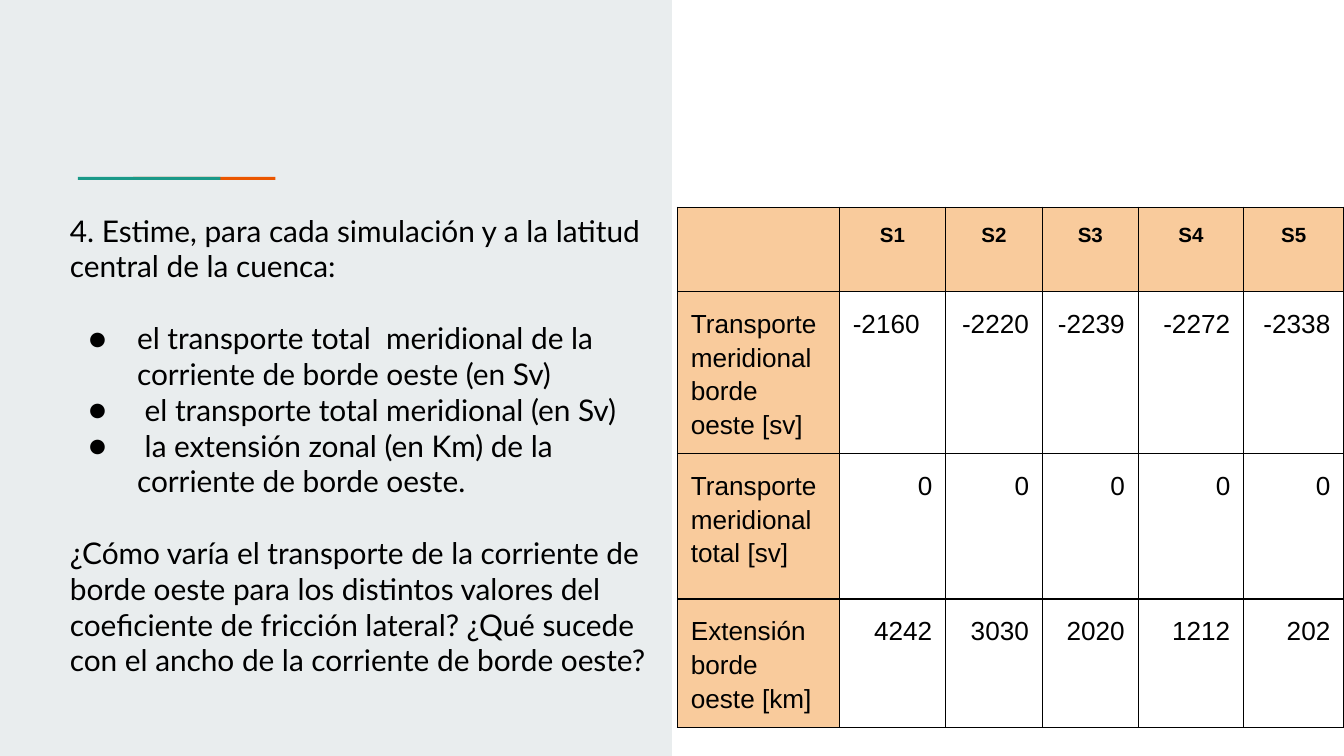
from dataclasses import dataclass

from lxml.etree import SubElement
from pptx import Presentation
from pptx.dml.color import RGBColor
from pptx.enum.shapes import MSO_SHAPE
from pptx.enum.text import MSO_ANCHOR, MSO_AUTO_SIZE, PP_ALIGN
from pptx.oxml.ns import qn
from pptx.util import Inches, Pt


@dataclass(frozen=True)
class Theme:
    """Colours, fonts and sizes of the slide."""

    panel: str = "E9EDEE"
    teal: str = "1A9988"
    orange: str = "EB5600"
    header: str = "F9CB9C"
    ink: str = "000000"
    text_font: str = "Lato"
    table_font: str = "Arial"
    text_size: float = 16
    head_size: float = 11
    cell_size: float = 14
    border: float = 0.75
    inset: float = 0.1


THEME = Theme()
WIDTH = Inches(10)
HEIGHT = WIDTH * 9 // 16
QUESTION = [
    ("4. Estime, para cada simulación y a la latitud central de la cuenca:", False),
    ("el transporte total  meridional de la corriente de borde oeste (en Sv)", True),
    (" el transporte total meridional (en Sv)", True),
    (" la extensión zonal (en Km) de la corriente de borde oeste.", True),
    ("¿Cómo varía el transporte de la corriente de borde oeste para los distintos "
     "valores del coeficiente de fricción lateral? ¿Qué sucede con el ancho de la "
     "corriente de borde oeste?", False),
]
RESULTS = [
    ["", "S1", "S2", "S3", "S4", "S5"],
    ["Transporte meridional borde oeste [sv]", "-2160", "-2220", "-2239", "-2272", "-2338"],
    ["Transporte meridional total [sv]", "0", "0", "0", "0", "0"],
    ["Extensión borde oeste [km]", "4242", "3030", "2020", "1212", "202"],
]
COLUMN_SHARES = [12.05, 7.92, 7.2, 7.13, 7.85, 7.45]
ROW_SHARES = [11.2, 19.2, 19.2, 16.9]


def across(share):
    """Turn a percentage of the slide width into a length."""
    return int(WIDTH * share / 100)


def down(share):
    """Turn a percentage of the slide height into a length."""
    return int(HEIGHT * share / 100)


def area(left, top, width, height):
    """Return a rectangle given in percentages of the slide."""
    return across(left), down(top), across(width), down(height)


def style_font(font, name, size, bold=False):
    """Format a run in the ink colour."""
    font.name, font.size, font.bold = name, Pt(size), bold
    font.color.rgb = RGBColor.from_string(THEME.ink)


def set_insets(holder):
    """Give a text frame or cell equal margins."""
    holder.margin_left = holder.margin_right = Inches(THEME.inset)
    holder.margin_top = holder.margin_bottom = Inches(THEME.inset)


def add_block(page, color, *shares):
    """Add a plain rectangle behind the title."""
    block = page.shapes.add_shape(MSO_SHAPE.RECTANGLE, *area(*shares))
    block.shadow.inherit = False
    block.fill.solid()
    block.fill.fore_color.rgb = RGBColor.from_string(color)
    block.line.fill.background()
    page.shapes.title.element.addprevious(block.element)


def add_bullet(para):
    """Give a paragraph a round bullet and a hanging indent."""
    properties = para._p.get_or_add_pPr()
    properties.set("marL", str(Inches(0.5)))
    properties.set("indent", str(Inches(-0.36)))
    color = SubElement(properties, qn("a:buClr"))
    SubElement(color, qn("a:srgbClr"), val=THEME.ink)
    SubElement(properties, qn("a:buFont"), typeface=THEME.text_font)
    SubElement(properties, qn("a:buChar"), char="●")


def write_question(page):
    """Fill the title placeholder with the question and its bullets."""
    title = page.shapes.title
    title.left, title.top, title.width, title.height = area(4.2, 26.3, 45.2, 71)
    frame = title.text_frame
    frame.text = "\n".join(text for text, _ in QUESTION)
    frame.word_wrap = True
    frame.auto_size = MSO_AUTO_SIZE.NONE
    frame.vertical_anchor = MSO_ANCHOR.TOP
    set_insets(frame)
    after_bullet = False
    for index, (para, (_, bulleted)) in enumerate(zip(frame.paragraphs, QUESTION)):
        para.alignment = PP_ALIGN.LEFT
        starts_group = index > 0 and bulleted != after_bullet
        para.space_before = Pt(THEME.text_size * 1.2 if starts_group else 0)
        if bulleted:
            add_bullet(para)
        for span in para.runs:
            style_font(span.font, THEME.text_font, THEME.text_size)
        after_bullet = bulleted


def add_borders(cell):
    """Draw a thin line on each side of a cell."""
    properties = cell._tc.get_or_add_tcPr()
    for side in ("lnL", "lnR", "lnT", "lnB"):
        line = SubElement(properties, qn(f"a:{side}"), w=str(Pt(THEME.border)))
        fill = SubElement(line, qn("a:solidFill"))
        SubElement(fill, qn("a:srgbClr"), val=THEME.ink)


def cell_alignment(row, column):
    """Choose the alignment for a cell's place in the table."""
    if row == 0:
        return PP_ALIGN.CENTER
    if column == 0 or (row, column) == (1, 1):
        return PP_ALIGN.LEFT
    return PP_ALIGN.RIGHT


def fill_cell(cell, text, row, column):
    """Write and format one table cell."""
    set_insets(cell)
    add_borders(cell)
    if row == 0 or column == 0:
        cell.fill.solid()
        cell.fill.fore_color.rgb = RGBColor.from_string(THEME.header)
    else:
        cell.fill.background()
    cell.text_frame.text = text
    para = cell.text_frame.paragraphs[0]
    para.alignment = cell_alignment(row, column)
    para.line_spacing = 1.15
    size = THEME.head_size if row == 0 else THEME.cell_size
    for span in para.runs:
        style_font(span.font, THEME.table_font, size, bold=row == 0)


def add_results(page):
    """Add the table of transports and widths per simulation."""
    place = area(50.4, 27.4, sum(COLUMN_SHARES), sum(ROW_SHARES))
    table = page.shapes.add_table(len(RESULTS), len(RESULTS[0]), *place).table
    table.first_row = table.horz_banding = False
    for column, share in zip(table.columns, COLUMN_SHARES):
        column.width = across(share)
    for row, share in zip(table.rows, ROW_SHARES):
        row.height = down(share)
    for row, values in enumerate(RESULTS):
        for column, text in enumerate(values):
            fill_cell(table.cell(row, column), text, row, column)


def main():
    """Build the slide and save the deck."""
    deck = Presentation()
    deck.slide_width, deck.slide_height = WIDTH, HEIGHT
    page = deck.slides.add_slide(deck.slide_layouts[5])
    add_block(page, THEME.panel, 0, 0, 50, 100)
    add_block(page, THEME.orange, 9.9, 23.4, 10.6, 0.4)
    add_block(page, THEME.teal, 5.8, 23.4, 10.6, 0.4)
    write_question(page)
    add_results(page)
    deck.save("out.pptx")


if __name__ == "__main__":
    main()
